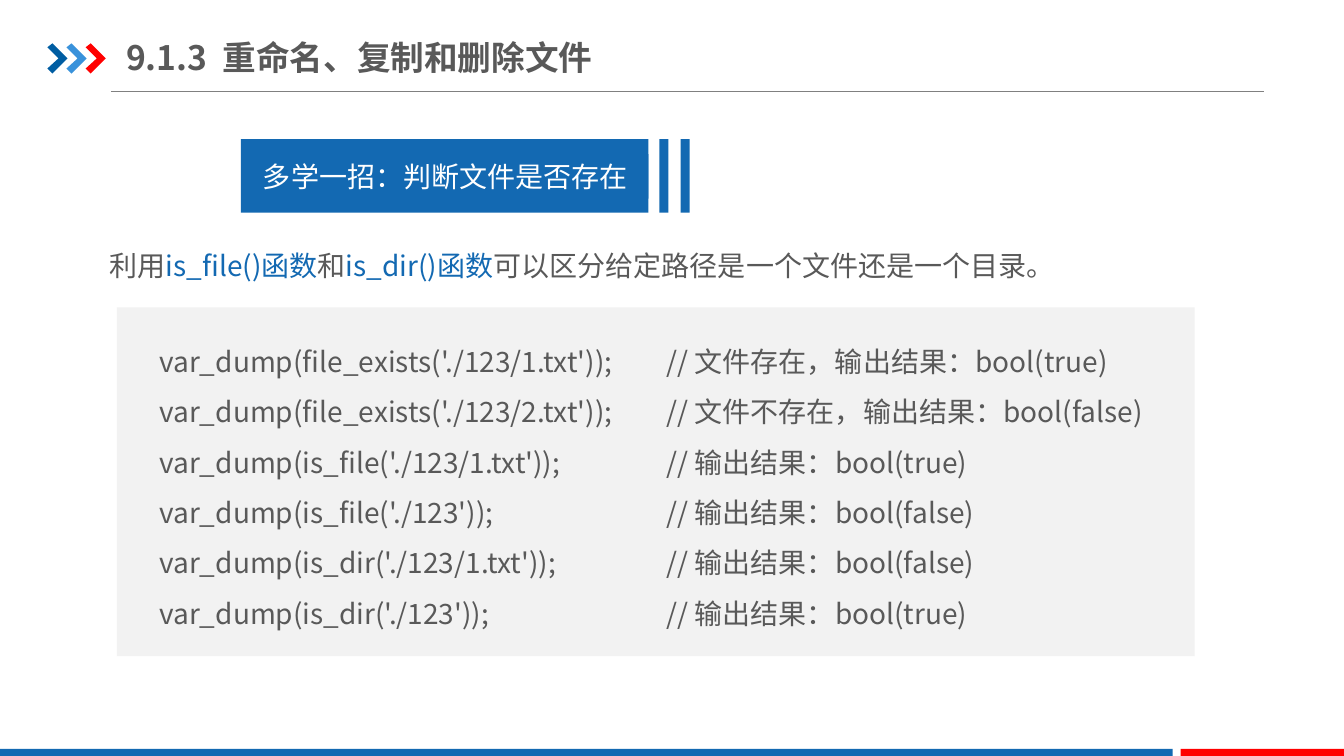
"""Build the slide on renaming, copying and deleting files."""
from dataclasses import dataclass
from typing import NamedTuple

from lxml.etree import SubElement
from pptx import Presentation
from pptx.dml.color import RGBColor
from pptx.enum.shapes import MSO_CONNECTOR, MSO_SHAPE
from pptx.enum.text import MSO_ANCHOR, PP_ALIGN
from pptx.oxml.ns import qn
from pptx.shapes.autoshape import Shape
from pptx.slide import Slide
from pptx.text.text import TextFrame, _Paragraph as Paragraph
from pptx.util import Inches, Pt


@dataclass(frozen=True)
class Theme:
    font: str = "Noto Sans CJK SC"
    title_size: int = 24
    body_size: int = 20
    text: str = "595959"
    blue: str = "1369B2"
    dark_blue: str = "005DA2"
    light_blue: str = "3992DB"
    red: str = "FF0000"
    panel: str = "F2F2F2"
    rule: str = "808080"
    white: str = "FFFFFF"


class Box(NamedTuple):
    left: float
    top: float
    width: float
    height: float


class Block(NamedTuple):
    box: Box
    color: str


class Span(NamedTuple):
    text: str
    color: str


class CodeLine(NamedTuple):
    call: str
    comment: str


THEME = Theme()
CHEVRON_LEFT, CHEVRON_TOP, CHEVRON_STEP = 0.47, 0.43, 0.19
CHEVRON_COLORS = (THEME.dark_blue, THEME.light_blue, THEME.red)
CHEVRON_OUTLINE = ((0, 0.04), (0.05, 0), (0.2, 0.15), (0.05, 0.3), (0, 0.25), (0.11, 0.15))
COMMENT_TAB = 5.03

BLOCKS = (
    Block(Box(0, 7.43, 11.63, 0.07), THEME.blue),
    Block(Box(11.71, 7.43, 1.62, 0.07), THEME.red),
    Block(Box(1.16, 3.05, 10.69, 3.46), THEME.panel),
    Block(Box(2.39, 1.38, 4.04, 0.73), THEME.blue),
    Block(Box(6.54, 1.38, 0.09, 0.73), THEME.blue),
    Block(Box(6.75, 1.38, 0.09, 0.73), THEME.blue),
)
INTRO = (
    Span("利用", THEME.text),
    Span("is_file()函数", THEME.blue),
    Span("和", THEME.text),
    Span("is_dir()函数", THEME.blue),
    Span("可以区分给定路径是一个文件还是一个目录。", THEME.text),
)
CODE = (
    CodeLine("var_dump(file_exists('./123/1.txt'));", "// 文件存在，输出结果：bool(true)"),
    CodeLine("var_dump(file_exists('./123/2.txt'));", "// 文件不存在，输出结果：bool(false)"),
    CodeLine("var_dump(is_file('./123/1.txt'));", "// 输出结果：bool(true)"),
    CodeLine("var_dump(is_file('./123'));", "// 输出结果：bool(false)"),
    CodeLine("var_dump(is_dir('./123/1.txt'));", "// 输出结果：bool(false)"),
    CodeLine("var_dump(is_dir('./123'));", "// 输出结果：bool(true)"),
)


def rgb(color: str) -> RGBColor:
    return RGBColor.from_string(color)


def paint(shape: Shape, color: str) -> None:
    shape.shadow.inherit = False
    shape.fill.solid()
    shape.fill.fore_color.rgb = rgb(color)
    shape.line.fill.background()


def format_runs(paragraph: Paragraph, color: str, size: int = THEME.body_size,
                bold: bool = False) -> None:
    paragraph.alignment = PP_ALIGN.LEFT
    for run in paragraph.runs:
        run.font.size = Pt(size)
        run.font.bold = bold
        run.font.color.rgb = rgb(color)
        run.font.name = THEME.font
        SubElement(run.font._element, qn("a:ea"), typeface=THEME.font)


def add_block(slide: Slide, block: Block) -> Shape:
    rect = slide.shapes.add_shape(MSO_SHAPE.RECTANGLE, *map(Inches, block.box))
    paint(rect, block.color)
    return rect


def add_text_frame(slide: Slide, box: Box) -> TextFrame:
    frame = slide.shapes.add_textbox(*map(Inches, box)).text_frame
    frame.word_wrap = True
    return frame


def add_header(slide: Slide) -> None:
    rule = slide.shapes.add_connector(
        MSO_CONNECTOR.STRAIGHT, Inches(1.1), Inches(0.91), Inches(12.54), Inches(0.91))
    rule.line.color.rgb = rgb(THEME.rule)
    rule.line.width = Pt(0.75)
    SubElement(rule._element.spPr, qn("a:effectLst"))

    for index, color in enumerate(CHEVRON_COLORS):
        left = CHEVRON_LEFT + index * CHEVRON_STEP
        start, *rest = [(Inches(left + x), Inches(CHEVRON_TOP + y)) for x, y in CHEVRON_OUTLINE]
        outline = slide.shapes.build_freeform(*start)
        outline.add_line_segments(rest, close=True)
        paint(outline.convert_to_shape(), color)

    title = slide.shapes.title
    title.left, title.top, title.width, title.height = map(Inches, Box(1.25, 0.29, 5.18, 0.55))
    frame = title.text_frame
    frame.text = "9.1.3  重命名、复制和删除文件"
    frame.margin_left = frame.margin_right = 0
    frame.margin_top = frame.margin_bottom = Inches(0.07)
    frame.vertical_anchor = MSO_ANCHOR.MIDDLE
    format_runs(frame.paragraphs[0], THEME.text, THEME.title_size, bold=True)


def add_banner_label(slide: Slide) -> None:
    frame = add_block(slide, Block(Box(2.51, 1.53, 3.92, 0.44), THEME.blue)).text_frame
    frame.text = "多学一招：判断文件是否存在"
    frame.vertical_anchor = MSO_ANCHOR.TOP
    format_runs(frame.paragraphs[0], THEME.white)


def add_intro(slide: Slide) -> None:
    sentence = add_text_frame(slide, Box(0.99, 2.42, 11.28, 0.44)).paragraphs[0]
    for span in INTRO:
        sentence.add_run().text = span.text
    format_runs(sentence, THEME.text)
    for run, span in zip(sentence.runs, INTRO):
        run.font.color.rgb = rgb(span.color)


def add_code(slide: Slide) -> None:
    frame = add_text_frame(slide, Box(1.19, 3.2, 10.47, 3.07))
    frame.margin_left = Inches(0.39)
    frame.text = "\n".join(f"{line.call}\t{line.comment}" for line in CODE)
    for paragraph in frame.paragraphs:
        paragraph.line_spacing = 1.5
        tabs = SubElement(paragraph._p.get_or_add_pPr(), qn("a:tabLst"))
        SubElement(tabs, qn("a:tab"), pos=str(Inches(COMMENT_TAB)), algn="l")
        format_runs(paragraph, THEME.text)


def main() -> None:
    deck = Presentation()
    deck.slide_width, deck.slide_height = Inches(13.33), Inches(7.5)
    slide = deck.slides.add_slide(deck.slide_layouts[5])
    add_header(slide)
    for block in BLOCKS:
        add_block(slide, block)
    add_banner_label(slide)
    add_intro(slide)
    add_code(slide)
    deck.save("out.pptx")


if __name__ == "__main__":
    main()
